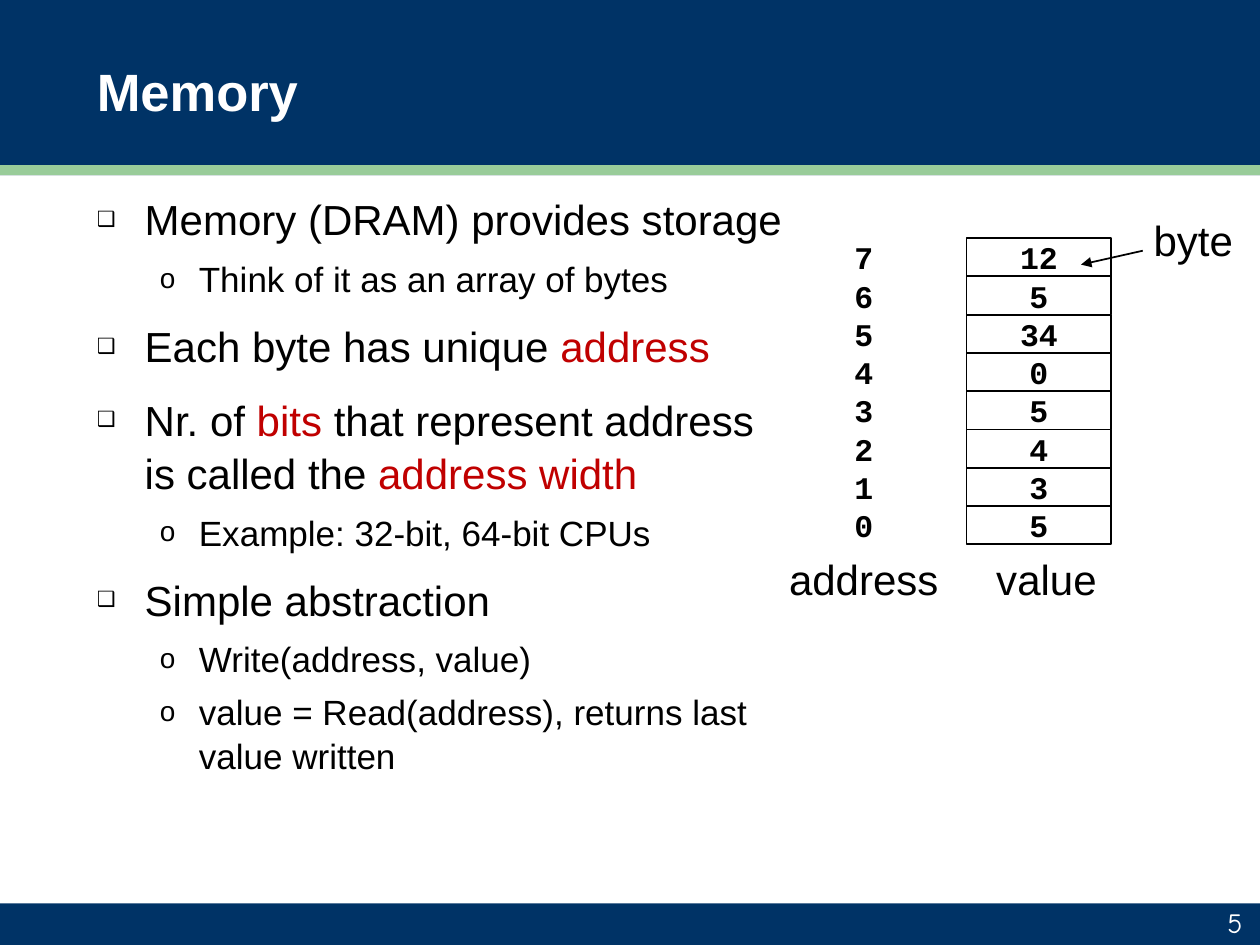
from dataclasses import dataclass
from typing import Optional

from lxml.etree import SubElement
from pptx import Presentation
from pptx.dml.color import RGBColor
from pptx.enum.shapes import MSO_CONNECTOR, MSO_SHAPE
from pptx.enum.text import MSO_ANCHOR, PP_ALIGN
from pptx.oxml.ns import qn
from pptx.util import Inches, Pt


@dataclass(frozen=True)
class Theme:
    """Colours, fonts and type sizes of the slide."""
    navy: str = "003366"
    green: str = "99CC99"
    white: str = "FFFFFF"
    black: str = "000000"
    red: str = "C00000"
    sans: str = "Arial"
    mono: str = "Courier New"
    number: str = "Comic Neue"
    title: int = 30
    body: int = 24
    detail: int = 20
    cell: int = 18
    page: int = 16


THEME = Theme()


@dataclass(frozen=True)
class Box:
    """A rectangle in inches."""
    left: float
    top: float
    width: float
    height: float

    def lengths(self):
        """Return the four sides as slide lengths."""
        return [Inches(side) for side in (self.left, self.top, self.width, self.height)]


@dataclass(frozen=True)
class Style:
    """The look of a run of text."""
    size: int
    color: str = THEME.black
    font: str = THEME.sans
    bold: bool = False


@dataclass(frozen=True)
class Level:
    """The bullet, indent and spacing of an outline level."""
    bullet: str
    bullet_percent: int
    margin: float
    hanging: float
    before: float
    after: float
    size: int


@dataclass(frozen=True)
class Point:
    """An outline paragraph as pairs of text and colour."""
    level: Level
    phrases: tuple


def add_run(paragraph, words: str, style: Style) -> None:
    """Append one styled run."""
    run = paragraph.add_run()
    run.text = words
    run.font.size = Pt(style.size)
    run.font.name = style.font
    run.font.bold = style.bold
    run.font.color.rgb = RGBColor.from_string(style.color)


def add_rectangle(slide, box: Box, fill: Optional[str], line: Optional[str] = None):
    """Draw a flat rectangle."""
    rectangle = slide.shapes.add_shape(MSO_SHAPE.RECTANGLE, *box.lengths())
    rectangle.shadow.inherit = False
    if fill:
        rectangle.fill.solid()
        rectangle.fill.fore_color.rgb = RGBColor.from_string(fill)
    else:
        rectangle.fill.background()
    if line:
        rectangle.line.color.rgb = RGBColor.from_string(line)
        rectangle.line.width = Pt(1)
    else:
        rectangle.line.fill.background()
    return rectangle


def write(holder, words: str, style: Style, align=PP_ALIGN.CENTER,
          anchor=MSO_ANCHOR.TOP, wrap: bool = True) -> None:
    """Fill a shape with a single line of text."""
    frame = holder.text_frame
    frame.word_wrap = wrap
    frame.vertical_anchor = anchor
    frame.paragraphs[0].alignment = align
    add_run(frame.paragraphs[0], words, style)


def add_label(slide, box: Box, words: str, style: Style, **layout) -> None:
    """Place a text box with a single line of text."""
    write(slide.shapes.add_textbox(*box.lengths()), words, style, **layout)


def add_outline(slide, box: Box, points: tuple) -> None:
    """Place the bulleted outline."""
    frame = slide.shapes.add_textbox(*box.lengths()).text_frame
    frame.word_wrap = True
    for index, point in enumerate(points):
        paragraph = frame.add_paragraph() if index else frame.paragraphs[0]
        level = point.level
        paragraph.line_spacing = 1.05
        paragraph.space_before = Pt(level.before if index else 0)
        paragraph.space_after = Pt(level.after)
        properties = paragraph._p.get_or_add_pPr()
        properties.set("marL", str(Inches(level.margin)))
        properties.set("indent", str(-Inches(level.hanging)))
        bullet_color = SubElement(properties, qn("a:buClr"))
        SubElement(bullet_color, qn("a:srgbClr"), val=THEME.black)
        SubElement(properties, qn("a:buSzPct"), val=str(level.bullet_percent * 1000))
        SubElement(properties, qn("a:buFont"), typeface=THEME.sans)
        SubElement(properties, qn("a:buChar"), char=level.bullet)
        for words, color in point.phrases:
            add_run(paragraph, words, Style(level.size, color))


def add_arrow(slide, start: tuple, end: tuple) -> None:
    """Draw a line with an arrowhead at its end."""
    arrow = slide.shapes.add_connector(
        MSO_CONNECTOR.STRAIGHT, *[Inches(place) for place in start + end])
    arrow.line.color.rgb = RGBColor.from_string(THEME.black)
    arrow.line.width = Pt(1)
    SubElement(arrow.line._get_or_add_ln(), qn("a:tailEnd"), type="triangle")
    SubElement(arrow._element.spPr, qn("a:effectLst"))


def add_memory(slide, values: tuple) -> None:
    """Draw the memory cells beside their descending addresses."""
    top, pitch, width = 1.89, 2.43 / 8, 1.15
    digits = Style(THEME.cell, font=THEME.mono, bold=True)
    for row, value in enumerate(values):
        cell = Box(7.67, top + row * pitch, width, pitch)
        address = Box(6.28, cell.top, width, pitch)
        write(add_rectangle(slide, cell, None, THEME.black), str(value), digits,
              anchor=MSO_ANCHOR.MIDDLE, wrap=False)
        add_label(slide, address, str(len(values) - 1 - row), digits,
                  anchor=MSO_ANCHOR.MIDDLE, wrap=False)


MAIN = Level("❑", 50, 0.38, 0.38, 9.6, 2.4, THEME.body)
SUB = Level("o", 80, 0.81, 0.31, 4, 1, THEME.detail)
OUTLINE = (
    Point(MAIN, (("Memory (DRAM) provides storage", THEME.black),)),
    Point(SUB, (("Think of it as an array of bytes", THEME.black),)),
    Point(MAIN, (("Each byte has unique ", THEME.black), ("address", THEME.red))),
    Point(MAIN, (("Nr. of ", THEME.black), ("bits ", THEME.red),
                 ("that represent address is called the ", THEME.black),
                 ("address width", THEME.red))),
    Point(SUB, (("Example: 32-bit, 64-bit CPUs", THEME.black),)),
    Point(MAIN, (("Simple abstraction", THEME.black),)),
    Point(SUB, (("Write(address, value)", THEME.black),)),
    Point(SUB, (("value = Read(address), returns last value written", THEME.black),)),
)
BANDS = (
    (Box(0, 0, 10, 1.39), THEME.navy),
    (Box(0, 1.31, 10, 0.08), THEME.green),
    (Box(0, 7.17, 10, 0.33), THEME.navy),
)
CAPTIONS = (
    ("byte", Box(8.98, 1.65, 0.98, 0.5)),
    ("address", Box(6.13, 4.34, 1.45, 0.5)),
    ("value", Box(7.73, 4.34, 1.15, 0.5)),
)

presentation = Presentation()
presentation.slide_width, presentation.slide_height = Inches(10), Inches(7.5)
memory_slide = presentation.slides.add_slide(presentation.slide_layouts[6])
for band, band_color in BANDS:
    add_rectangle(memory_slide, band, band_color)
add_label(memory_slide, Box(0.67, 0.05, 8.67, 1.33), "Memory",
          Style(THEME.title, THEME.white, bold=True),
          align=PP_ALIGN.LEFT, anchor=MSO_ANCHOR.MIDDLE)
add_outline(memory_slide, Box(0.67, 1.47, 5.72, 5.67), OUTLINE)
add_label(memory_slide, Box(7.88, 7.18, 2.08, 0.32), "5",
          Style(THEME.page, THEME.white, THEME.number),
          align=PP_ALIGN.RIGHT, anchor=MSO_ANCHOR.BOTTOM)
add_memory(memory_slide, (12, 5, 34, 0, 5, 4, 3, 5))
add_arrow(memory_slide, (9.07, 1.99), (8.58, 2.1))
for caption, caption_box in CAPTIONS:
    add_label(memory_slide, caption_box, caption, Style(THEME.body))
presentation.save("out.pptx")
